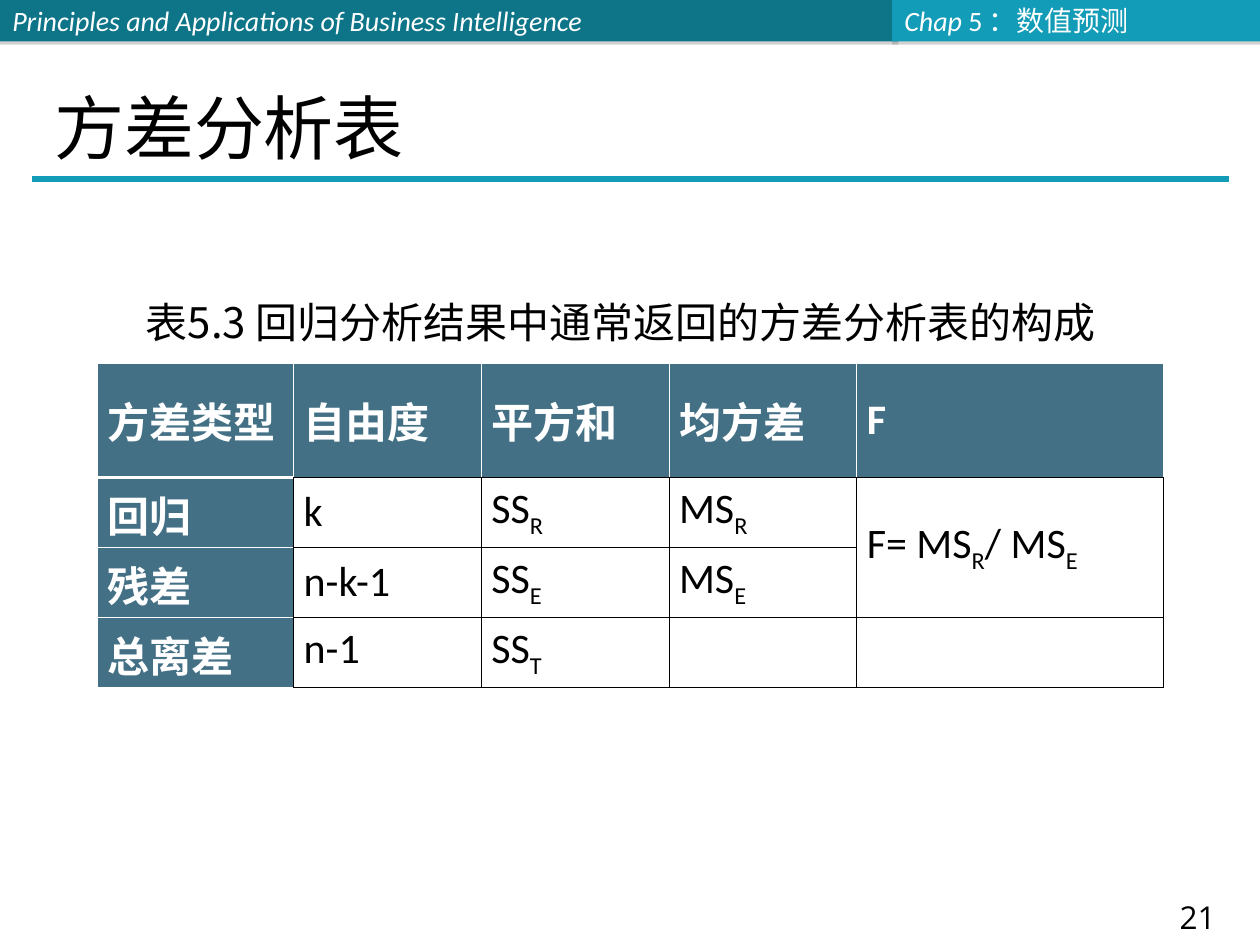
from dataclasses import dataclass

from lxml import etree
from pptx import Presentation
from pptx.dml.color import RGBColor
from pptx.enum.shapes import MSO_CONNECTOR, MSO_SHAPE
from pptx.enum.text import MSO_ANCHOR, PP_ALIGN
from pptx.oxml.ns import qn
from pptx.util import Inches, Pt

RECTANGLE = MSO_SHAPE.RECTANGLE
STRAIGHT = MSO_CONNECTOR.STRAIGHT
TOP, MIDDLE, BOTTOM = MSO_ANCHOR.TOP, MSO_ANCHOR.MIDDLE, MSO_ANCHOR.BOTTOM
LEFT, CENTER = PP_ALIGN.LEFT, PP_ALIGN.CENTER
TITLE_ONLY = 5


@dataclass(frozen=True)
class Theme:
    dark_band: str = "0E7589"
    accent: str = "139CB7"
    table_head: str = "437085"
    shadow: str = "808080"
    white: str = "FFFFFF"
    black: str = "000000"
    latin: str = "Calibri"
    chinese: str = "Noto Sans CJK SC"
    number: str = "Open Sans"
    title_size: int = 40
    body_size: int = 24
    number_size: int = 18
    band_size: int = 16
    thin: float = 0.45
    thick: float = 1.47


THEME = Theme()

TABLE_ROWS = [
    ["方差类型", "自由度", "平方和", "均方差", "F"],
    ["回归", "k", "SS_R", "MS_R", "F= MS_R/ MS_E"],
    ["残差", "n-k-1", "SS_E", "MS_E", ""],
    ["总离差", "n-1", "SS_T", "", ""],
]
COLUMN_WIDTHS = [1.56, 1.49, 1.49, 1.49, 2.43]
ROW_HEIGHTS = [0.91, 0.51, 0.51, 0.51]


def rgb(value):
    return RGBColor.from_string(value)


def format_run(run, size, name, color, bold=False, italic=False):
    font = run.font
    font.size, font.name, font.bold, font.italic = Pt(size), name, bold, italic
    font.color.rgb = rgb(color)
    east_asian = etree.SubElement(run._r.get_or_add_rPr(), qn("a:ea"))
    east_asian.set("typeface", THEME.chinese)


def add_runs(paragraph, text, **style):
    """Add text in which the letter after each underscore is a subscript."""
    first, *others = text.split("_")
    pieces = [(first, False)]
    for other in others:
        pieces += [(other[0], True), (other[1:], False)]
    for piece, subscript in pieces:
        if piece:
            run = paragraph.add_run()
            run.text = piece
            format_run(run, **style)
            if subscript:
                run._r.get_or_add_rPr().set("baseline", "-25000")


def add_effects(shape, drop_shadow=False):
    effects = etree.SubElement(shape._element.spPr, qn("a:effectLst"))
    if drop_shadow:
        shadow = etree.SubElement(effects, qn("a:outerShdw"), blurRad="0",
                                  dist=str(Pt(1.8)), dir="5400000", rotWithShape="0")
        color = etree.SubElement(shadow, qn("a:srgbClr"), val=THEME.shadow)
        etree.SubElement(color, qn("a:alpha"), val="35000")


def add_band(slide, box, fill, pieces):
    shape = slide.shapes.add_shape(RECTANGLE, *map(Inches, box))
    shape.fill.solid()
    shape.fill.fore_color.rgb = rgb(fill)
    shape.line.fill.background()
    add_effects(shape, drop_shadow=True)
    shape.text_frame.vertical_anchor = MIDDLE
    paragraph = shape.text_frame.paragraphs[0]
    paragraph.alignment = LEFT
    for text, italic in pieces:
        add_runs(paragraph, text, size=THEME.band_size, name=THEME.latin,
                 color=THEME.white, italic=italic)


def add_header(slide, box):
    left, top, width, height = box
    split = 7.08
    add_band(slide, (left, top, split + 0.05, height), THEME.dark_band,
             [("Principles and Applications of Business Intelligence", True)])
    add_band(slide, (left + split, top, width - split, height), THEME.accent,
             [("Chap ", True), ("5 ：数值预测", False)])


def add_title(slide, box, text):
    title = slide.shapes.title
    title.left, title.top, title.width, title.height = map(Inches, box)
    title.text_frame.text = text
    title.text_frame.vertical_anchor = BOTTOM
    paragraph = title.text_frame.paragraphs[0]
    paragraph.alignment = LEFT
    format_run(paragraph.runs[0], THEME.title_size, THEME.chinese, THEME.black)


def add_title_rule(slide, left, right, y):
    rule = slide.shapes.add_connector(STRAIGHT, *map(Inches, (left, y, right, y)))
    rule.line.color.rgb = rgb(THEME.accent)
    rule.line.width = Pt(3)
    add_effects(rule)


def add_text(slide, box, text, size, name, alignment=LEFT, anchor=TOP, spacing=None):
    frame = slide.shapes.add_textbox(*map(Inches, box)).text_frame
    frame.word_wrap = True
    frame.vertical_anchor = anchor
    paragraph = frame.paragraphs[0]
    paragraph.alignment = alignment
    paragraph.line_spacing = spacing
    add_runs(paragraph, text, size=size, name=name, color=THEME.black)


def cell_borders(row, column):
    """Return colour and width for the left, right, top and bottom edges."""
    white, black = (THEME.white, THEME.thin), (THEME.black, THEME.thin)
    heavy = (THEME.white, THEME.thick)
    if row == 0:
        return white, white, white, heavy if column == 0 else black
    if column == 0:
        return white, black, heavy if row == 1 else white, white
    return black, black, black, black


def set_borders(cell, borders):
    properties = cell._tc.get_or_add_tcPr()
    for index, (edge, (color, width)) in enumerate(zip("LRTB", borders)):
        line = etree.Element(qn(f"a:ln{edge}"), w=str(Pt(width)))
        fill = etree.SubElement(line, qn("a:solidFill"))
        etree.SubElement(fill, qn("a:srgbClr"), val=color)
        properties.insert(index, line)


def add_variance_table(slide, box):
    table = slide.shapes.add_table(len(ROW_HEIGHTS), len(COLUMN_WIDTHS),
                                   *map(Inches, box)).table
    table.horz_banding = False
    for column, width in zip(table.columns, COLUMN_WIDTHS):
        column.width = Inches(width)
    for row, height in zip(table.rows, ROW_HEIGHTS):
        row.height = Inches(height)
    # The F ratio spans the regression and residual rows
    table.cell(1, 4).merge(table.cell(2, 4))

    for row, texts in enumerate(TABLE_ROWS):
        for column, text in enumerate(texts):
            cell = table.cell(row, column)
            heading = row == 0 or column == 0
            if heading:
                cell.fill.solid()
                cell.fill.fore_color.rgb = rgb(THEME.table_head)
            else:
                cell.fill.background()
            set_borders(cell, cell_borders(row, column))
            cell.margin_left = cell.margin_right = Inches(0.08)
            cell.vertical_anchor = TOP if row == 3 else MIDDLE
            add_runs(cell.text_frame.paragraphs[0], text, size=THEME.body_size,
                     name=THEME.latin, bold=heading,
                     color=THEME.white if heading else THEME.black)


def main():
    presentation = Presentation()
    presentation.slide_width, presentation.slide_height = Inches(10), Inches(7.5)
    slide = presentation.slides.add_slide(presentation.slide_layouts[TITLE_ONLY])

    # Header bands, page number and title
    add_header(slide, (0, 0, 10.02, 0.33))
    add_text(slide, (9, 7.1, 1.01, 0.38), "21", THEME.number_size, THEME.number,
             alignment=CENTER, spacing=Pt(20))
    add_title_rule(slide, 0.25, 9.75, 1.42)
    add_title(slide, (0.33, 0.49, 9.33, 0.9), "方差分析表")

    # Table with its caption
    add_variance_table(slide, (0.77, 2.88, 8.47, 2.44))
    add_text(slide, (1.06, 2.3, 8.11, 0.5),
             "表5.3 回归分析结果中通常返回的方差分析表的构成",
             THEME.body_size, THEME.chinese, anchor=MIDDLE)

    presentation.save("out.pptx")


if __name__ == "__main__":
    main()
